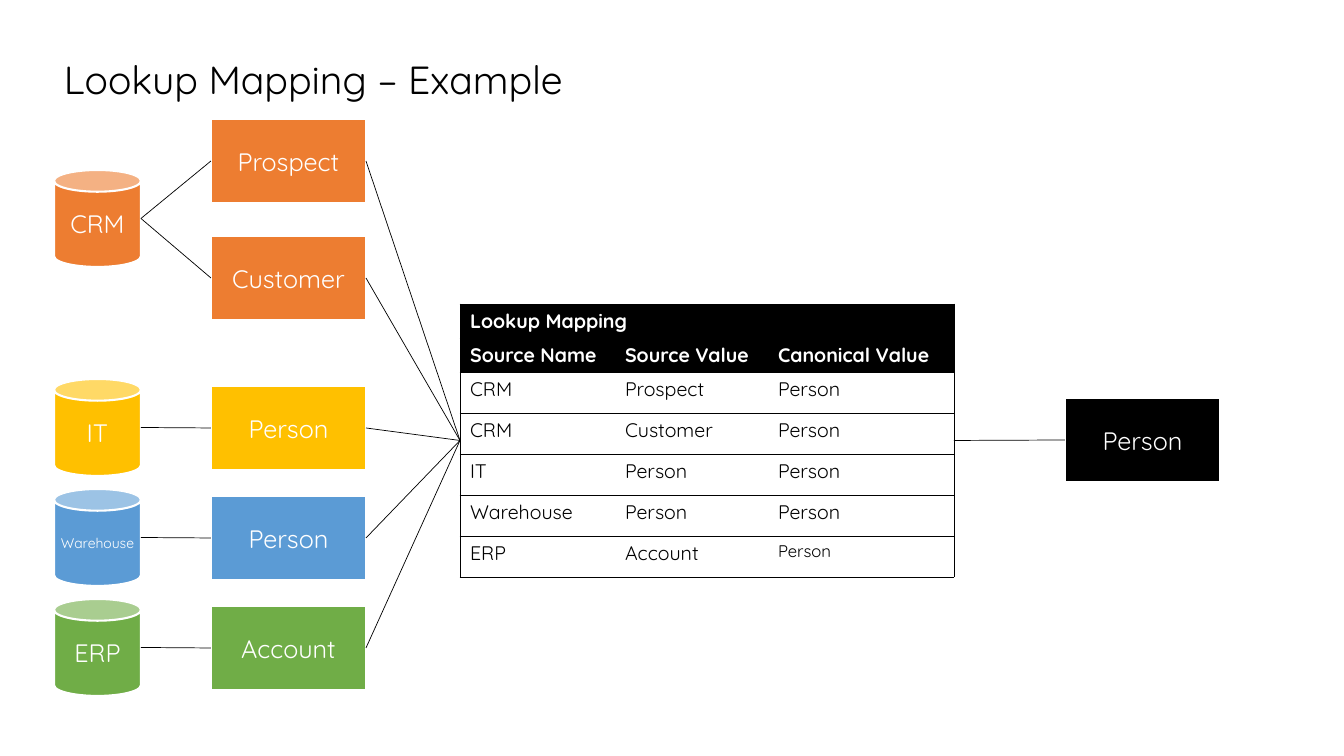
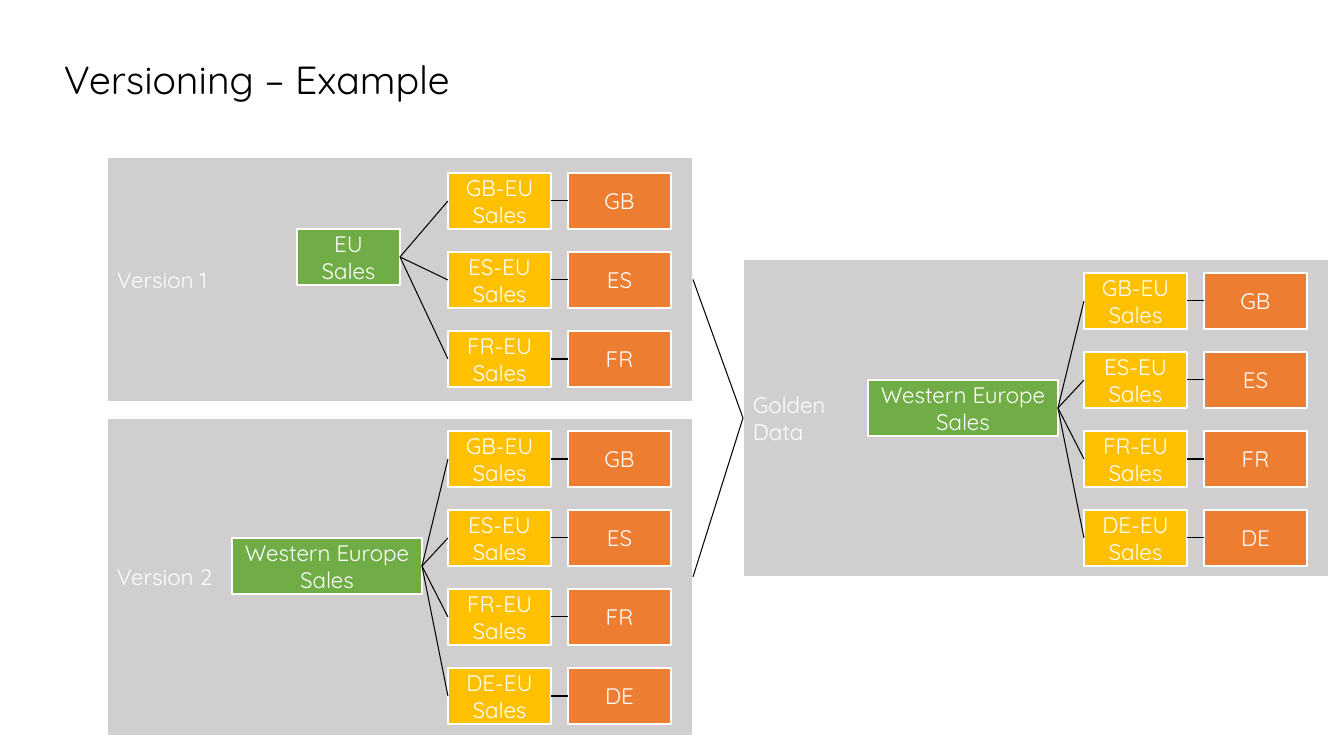
from lxml.etree import SubElement
from pptx import Presentation
from pptx.dml.color import RGBColor
from pptx.enum.shapes import MSO_CONNECTOR, MSO_SHAPE
from pptx.enum.text import MSO_ANCHOR, PP_ALIGN
from pptx.oxml.ns import qn
from pptx.util import Emu, Pt

EMU_PER_PX = 914400 / 100.8
COLORS = {
    "black": "000000",
    "white": "FFFFFF",
    "grey": "D0CECE",
    "orange": "ED7D31",
    "yellow": "FFC000",
    "blue": "5B9BD5",
    "green": "70AD47",
}


def px(length):
    """Turn pixels into EMU."""
    return Emu(round(length * EMU_PER_PX))


def rgb(color):
    """Look up a named colour."""
    return RGBColor.from_string(COLORS[color])


class Deck:
    """Hold the shared style and the slide being drawn."""

    font_name = "Quicksand"
    inset_names = ("margin_left", "margin_top", "margin_right", "margin_bottom")

    def __init__(self):
        """Start an empty widescreen presentation."""
        self.presentation = Presentation()
        self.presentation.slide_width = px(1344)
        self.presentation.slide_height = px(756)
        self.slide = None

    def new_slide(self, title):
        """Add a blank slide with its title."""
        self.slide = self.presentation.slides.add_slide(self.presentation.slide_layouts[6])
        heading = self.slide.shapes.add_textbox(px(54), px(54), px(1067), px(56))
        self.label(heading.text_frame, title, 28, "black")
        heading.text_frame.paragraphs[0].line_spacing = 0.9

    def label(self, frame, text, size, color="white", align=PP_ALIGN.LEFT, bold=False):
        """Put one styled paragraph in a text frame."""
        frame.word_wrap = True
        frame.vertical_anchor = MSO_ANCHOR.MIDDLE
        paragraph = frame.paragraphs[0]
        paragraph.text = text
        paragraph.alignment = align
        style = {"name": self.font_name, "size": Pt(size), "bold": bold}
        for run in paragraph.runs:
            for name, value in style.items():
                setattr(run.font, name, value)
            run.font.color.rgb = rgb(color)

    def block(self, text, place, color, size=18, align=PP_ALIGN.CENTER,
              kind=MSO_SHAPE.RECTANGLE, inset=None):
        """Draw a filled shape with a white outline and a label."""
        shape = self.slide.shapes.add_shape(kind, *map(px, place))
        shape.shadow.inherit = False
        shape.fill.solid()
        shape.fill.fore_color.rgb = rgb(color)
        shape.line.color.rgb = rgb("white")
        shape.line.width = Pt(1.5)
        if inset is not None:
            for name in self.inset_names:
                setattr(shape.text_frame, name, px(inset))
        self.label(shape.text_frame, text, size, align=align)
        return shape

    def link(self, start, end, width):
        """Join the right side of one element to the left side of another."""
        line = self.slide.shapes.add_connector(
            MSO_CONNECTOR.STRAIGHT,
            start.left + start.width, start.top + start.height // 2,
            end.left, end.top + end.height // 2,
        )
        line.line.color.rgb = rgb("black")
        line.line.width = Pt(width)
        SubElement(line._element.spPr, qn("a:effectLst"))

    def edges(self, cell, visible):
        """Show the named cell edges and hide the others."""
        properties = cell._tc.get_or_add_tcPr()
        for side in "LRTB":
            edge = SubElement(properties, qn(f"a:ln{side}"), w=str(Pt(0.5)))
            if side in visible:
                fill = SubElement(edge, qn("a:solidFill"))
                SubElement(fill, qn("a:srgbClr"), val=COLORS["black"])
            else:
                SubElement(edge, qn("a:noFill"))

    def table(self, rows, place, widths, heights, header_rows):
        """Draw a ruled table with a black header and a merged first row."""
        frame = self.slide.shapes.add_table(
            len(rows), len(widths), *map(px, (*place, sum(widths), sum(heights))))
        grid = frame.table
        grid.first_row = grid.horz_banding = False
        for column, width in zip(grid.columns, widths):
            column.width = px(width)
        for row, height in zip(grid.rows, heights):
            row.height = px(height)
        grid.cell(0, 0).merge(grid.cell(0, len(widths) - 1))
        for r, texts in enumerate(rows):
            header = r < header_rows
            for c in range(len(widths)):
                cell = grid.cell(r, c)
                left = "L" if header or c == 0 else ""
                right = "R" if header or c == len(widths) - 1 else ""
                self.edges(cell, "TB" + left + right)
                if header:
                    cell.fill.solid()
                    cell.fill.fore_color.rgb = rgb("black")
                else:
                    cell.fill.background()
                if c < len(texts):
                    last = r == len(rows) - 1 and c == len(widths) - 1
                    self.label(cell.text_frame, texts[c], 12 if last else 14,
                               "white" if header else "black", bold=header)
                cell.vertical_anchor = MSO_ANCHOR.TOP
        return frame

    def hierarchy(self, label, place, root, root_place, first_top, countries):
        """Draw a grey panel with a root, its sales areas and their countries."""
        left = place[0]
        leaf_width, leaf_height, leaf_step = 103, 56, 79
        panel = self.block(label, place, "grey", 16, PP_ALIGN.LEFT)
        offset, top, width = root_place
        region = self.block(root, (left + offset, top, width, leaf_height), "green", 16)
        for index, code in enumerate(countries):
            leaf_top = first_top + index * leaf_step
            area, country = (
                self.block(text, (left + shift, leaf_top, leaf_width, leaf_height), color, 16)
                for text, shift, color in (
                    (f"{code}-EU Sales", 341, "yellow"), (code, 461, "orange"))
            )
            self.link(region, area, 0.75)
            self.link(area, country, 0.75)
        return panel


def lookup_slide(deck):
    """Build the lookup mapping example."""
    deck.new_slide("Lookup Mapping – Example")
    sources = [
        ("CRM", 170, "orange", [("Prospect", 119), ("Customer", 236)]),
        ("IT", 379, "yellow", [("Person", 386)]),
        ("Warehouse", 489, "blue", [("Person", 496)]),
        ("ERP", 599, "green", [("Account", 606)]),
    ]
    rows = [["Lookup Mapping"], ["Source Name", "Source Value", "Canonical Value"]]
    rows += [[name, value, "Person"] for name, _, _, values in sources for value, _ in values]
    mapping = deck.table(rows, (460, 304), (155, 153, 186), [34] * 2 + [41] * 5, 2)
    for name, top, color, values in sources:
        long_name = len(name) > 3
        database = deck.block(name, (54, top, 87, 97), color, 10 if long_name else 18,
                              kind=MSO_SHAPE.CAN, inset=0 if long_name else None)
        for value, value_top in values:
            entity = deck.block(value, (211, value_top, 155, 84), color)
            deck.link(database, entity, 0.5)
            deck.link(entity, mapping, 0.5)
    canonical = deck.block("Person", (1065, 398, 155, 84), "black")
    deck.link(mapping, canonical, 0.5)


def versioning_slide(deck):
    """Build the versioning example."""
    deck.new_slide("Versioning – Example")
    countries = ["GB", "ES", "FR", "DE"]
    western = "Western Europe Sales"
    first = deck.hierarchy("Version 1", (107, 157, 586, 245), "EU Sales",
                           (190, 229, 103), 173, countries[:3])
    second = deck.hierarchy("Version 2", (107, 418, 586, 318), western,
                            (125, 538, 190), 431, countries)
    golden = deck.hierarchy("Golden\nData", (743, 259, 586, 318), western,
                            (125, 380, 190), 273, countries)
    for version in (first, second):
        deck.link(version, golden, 0.75)


def main():
    """Build and save the presentation."""
    deck = Deck()
    lookup_slide(deck)
    versioning_slide(deck)
    deck.presentation.save("out.pptx")


if __name__ == "__main__":
    main()
